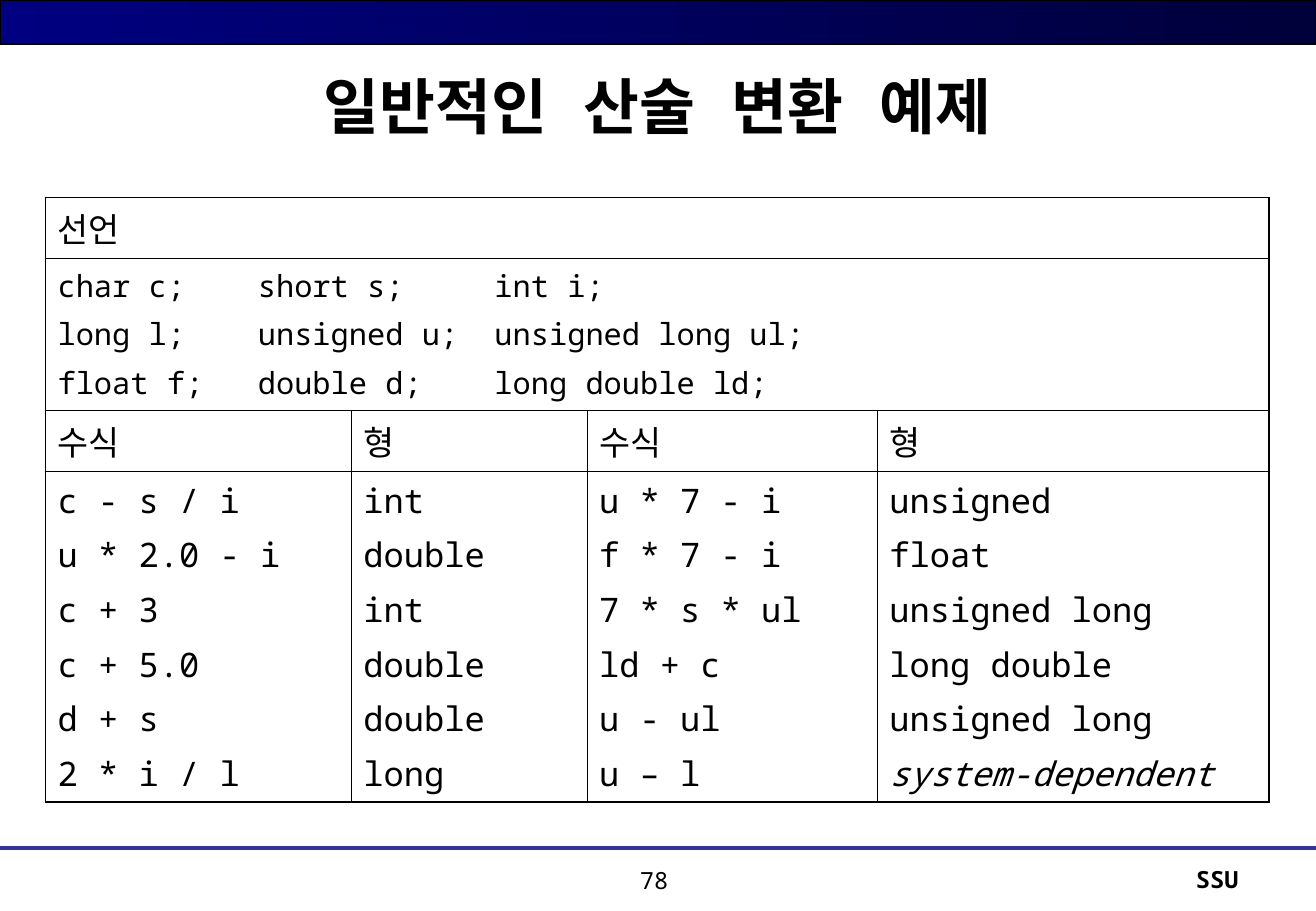
from dataclasses import dataclass

from lxml.etree import SubElement
from pptx import Presentation
from pptx.dml.color import RGBColor
from pptx.enum.shapes import MSO_CONNECTOR as Connector, MSO_SHAPE as Shape
from pptx.enum.text import MSO_ANCHOR as Anchor, PP_ALIGN as Align
from pptx.oxml import parse_xml
from pptx.oxml.ns import nsdecls, qn
from pptx.util import Cm, Pt


@dataclass(frozen=True)
class Theme:
    """Colours, fonts, type sizes and line widths."""
    ink: str = "000000"
    rule: str = "333399"
    band_start: str = "000080"
    band_end: str = "00003B"
    mono: str = "Noto Sans Mono"
    korean: str = "Noto Sans CJK KR"
    title: float = 36
    body: float = 20
    code: float = 18
    footer: float = 14
    inner_line: float = 0.45
    outer_line: float = 1.08
    band_line: float = 0.75
    rule_line: float = 2.5


@dataclass(frozen=True)
class Box:
    """A region in centimetres."""
    left: float
    top: float
    width: float
    height: float

    def lengths(self):
        """Return the region as slide lengths."""
        return Cm(self.left), Cm(self.top), Cm(self.width), Cm(self.height)


THEME = Theme()
PAGE = Box(0, 0, 27.53, 19.05)
COLUMNS = (6.4, 4.93, 6.07, 8.2)
ROWS = (1.27, 3.18, 1.27, 6.92)
CODE_TABS = (4.19, 9.14)
DECLARATIONS = (
    "char c;\tshort s;\tint i;",
    "long l;\tunsigned u;\tunsigned long ul;",
    "float f;\tdouble d;\tlong double ld;",
)
EXAMPLES = (
    ("c - s / i", "u * 2.0 - i", "c + 3", "c + 5.0", "d + s", "2 * i / l"),
    ("int", "double", "int", "double", "double", "long"),
    ("u * 7 - i", "f * 7 - i", "7 * s * ul", "ld + c", "u - ul", "u – l"),
    ("unsigned", "float", "unsigned long", "long double", "unsigned long",
     "system-dependent"),
)


def write(frame, *lines, size, font=THEME.mono, align=Align.LEFT, bold=False,
          gap=0, tabs=(), italics=()):
    """Write one paragraph per line with the given format."""
    for index, line in enumerate(lines):
        para = frame.paragraphs[0] if index == 0 else frame.add_paragraph()
        para.alignment = align
        para.space_before = Pt(gap if index else 0)
        if tabs:
            stops = SubElement(para._p.get_or_add_pPr(), qn("a:tabLst"))
            for stop in tabs:
                SubElement(stops, qn("a:tab"), pos=str(Cm(stop)), algn="l")
        span = para.add_run()
        span.text = line
        span.font.size = Pt(size)
        span.font.name = font
        span.font.bold = bold
        span.font.italic = line in italics
        span.font.color.rgb = RGBColor.from_string(THEME.ink)
        SubElement(span.font._element, qn("a:ea"), typeface=font)


def add_label(page, box, text, anchor=Anchor.TOP, **style):
    """Place one wrapped text box."""
    frame = page.shapes.add_textbox(*box.lengths()).text_frame
    frame.word_wrap = True
    frame.vertical_anchor = anchor
    write(frame, text, **style)


def add_header(page, box):
    """Place the gradient band and the title below it."""
    band = page.shapes.add_shape(
        Shape.RECTANGLE, *Box(box.left, box.top, box.width, 0.92).lengths())
    band.shadow.inherit = False
    band.fill.gradient()
    band.fill.gradient_angle = 0
    for stop, colour in zip(band.fill.gradient_stops,
                            (THEME.band_start, THEME.band_end)):
        stop.color.rgb = RGBColor.from_string(colour)
    band.line.color.rgb = RGBColor.from_string(THEME.ink)
    band.line.width = Pt(THEME.band_line)
    add_label(page, Box(box.left + 1.37, box.top + 0.91, 24.77, 2.57),
              "일반적인 산술 변환 예제", anchor=Anchor.MIDDLE,
              size=THEME.title, align=Align.CENTER, bold=True)


def add_footer(page, box):
    """Place the rule, the page number and the school's initials."""
    rule = page.shapes.add_connector(
        Connector.STRAIGHT, Cm(box.left), Cm(box.top),
        Cm(box.left + box.width), Cm(box.top))
    rule.line.color.rgb = RGBColor.from_string(THEME.rule)
    rule.line.width = Pt(THEME.rule_line)
    SubElement(rule._element.spPr, qn("a:effectLst"))
    add_label(page, Box(box.left + 19.58, box.top + 0.23, 6.58, 0.94), "SSU",
              size=THEME.footer, align=Align.RIGHT, bold=True)
    add_label(page, Box(box.left + 11.83, box.top + 0.25, 3.71, 0.94), "78",
              size=THEME.footer, align=Align.CENTER)


def set_borders(cell, **widths):
    """Draw the cell's sides L, R, T and B; a width of zero hides a side."""
    properties = cell._tc.get_or_add_tcPr()
    for index, side in enumerate("LRTB"):
        width = widths[side]
        paint = (f'<a:solidFill><a:srgbClr val="{THEME.ink}"/></a:solidFill>'
                 if width else "<a:noFill/>")
        properties.insert(index, parse_xml(
            f'<a:ln{side} {nsdecls("a")} w="{Pt(width)}">{paint}</a:ln{side}>'))


def frame_cells(table):
    """Clear the fills and rule the grid with a heavier outer edge."""
    inner, outer = THEME.inner_line, THEME.outer_line
    last_row, last_column = len(ROWS) - 1, len(COLUMNS) - 1
    for row in range(len(ROWS)):
        for column in range(len(COLUMNS)):
            cell = table.cell(row, column)
            merged = cell.is_merge_origin or cell.is_spanned
            divider = 0 if merged else inner
            at_right = column == last_column or cell.is_merge_origin
            cell.fill.background()
            cell.vertical_anchor = Anchor.MIDDLE
            set_borders(cell,
                        L=divider if column else outer,
                        R=outer if at_right else divider,
                        T=inner if row else outer,
                        B=outer if row == last_row else inner)


def add_conversion_table(page, box):
    """Place the declarations and the expressions with their types."""
    table = page.shapes.add_table(
        len(ROWS), len(COLUMNS), *box.lengths()).table
    table.first_row = table.horz_banding = False
    for column, width in zip(table.columns, COLUMNS):
        column.width = Cm(width)
    for row, height in zip(table.rows, ROWS):
        row.height = Cm(height)
    for row in range(2):
        table.cell(row, 0).merge(table.cell(row, len(COLUMNS) - 1))
    frame_cells(table)
    heading = dict(size=THEME.body, font=THEME.korean)
    write(table.cell(0, 0).text_frame, "선언", **heading)
    write(table.cell(1, 0).text_frame, *DECLARATIONS, size=THEME.code,
          align=Align.JUSTIFY, gap=4.5, tabs=CODE_TABS)
    for column, lines in enumerate(EXAMPLES):
        write(table.cell(2, column).text_frame,
              ("수식", "형")[column % 2], **heading)
        write(table.cell(3, column).text_frame, *lines, size=THEME.body,
              align=Align.JUSTIFY, gap=5, italics=("system-dependent",))


def main():
    """Build the slide and save it."""
    deck = Presentation()
    deck.slide_width, deck.slide_height = Cm(PAGE.width), Cm(PAGE.height)
    page = deck.slides.add_slide(deck.slide_layouts[6])
    add_header(page, Box(0, 0, PAGE.width, 3.48))
    add_footer(page, Box(0, 17.73, PAGE.width, 1.32))
    add_conversion_table(page, Box(0.95, 4.13, sum(COLUMNS), sum(ROWS)))
    deck.save("out.pptx")


if __name__ == "__main__":
    main()
